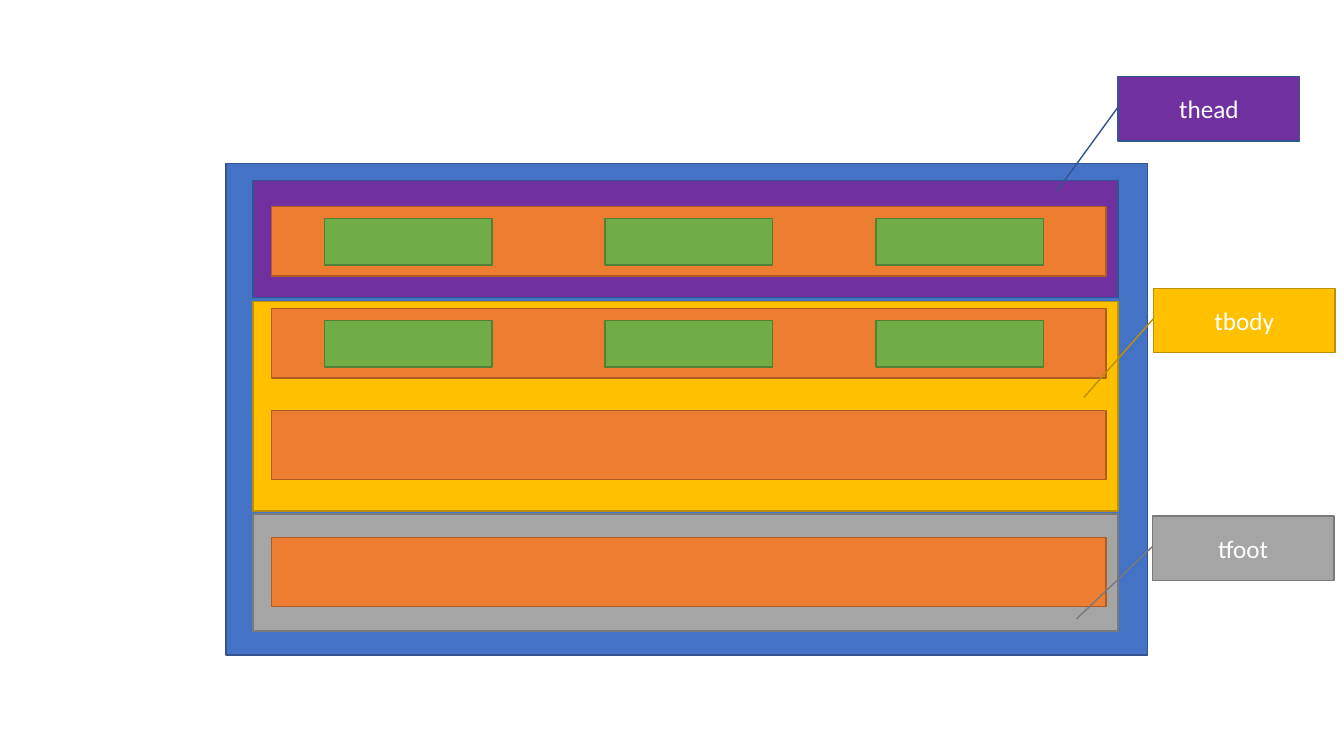
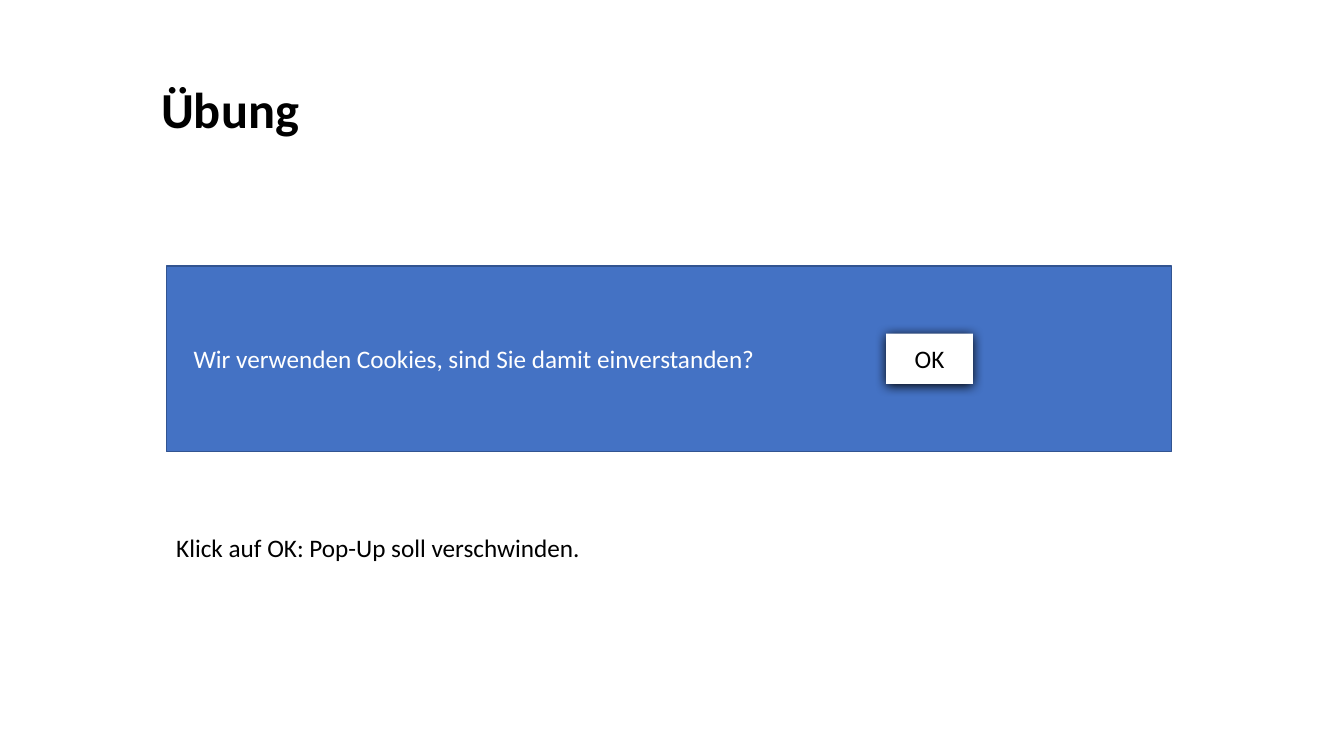
from lxml import etree
from pptx import Presentation
from pptx import util as u
from pptx.dml import color
from pptx.enum import shapes, text
from pptx.oxml import ns

theme = {
    "font": "Calibri", "body": 18, "title": 36, "line": 1,
    "white": "FFFFFF", "black": "000000",
    "blue": ("4472C4", "325491"), "plum": ("7030A0", "325491"),
    "gold": ("FFC000", "BD8E00"), "gray": ("A5A5A5", "7A7A7A"),
    "rust": ("ED7D31", "AF5C24"), "green": ("70AD47", "538035"),
    "plain": ("FFFFFF", None),
}
rgb = color.RGBColor.from_string
rect = shapes.MSO_SHAPE.RECTANGLE
note = shapes.MSO_SHAPE.LINE_CALLOUT_1
mid = text.PP_ALIGN.CENTER
left = text.PP_ALIGN.LEFT


def write(item, words, ink, size=theme["body"], bold=False, align=left, **frame):
    for key, val in frame.items():
        setattr(item.text_frame, key, val)
    para = item.text_frame.paragraphs[0]
    para.alignment = align
    run = para.add_run()
    run.text = words
    looks = {"name": theme["font"], "size": u.Pt(size), "bold": bold}
    for key, val in looks.items():
        setattr(run.font, key, val)
    run.font.color.rgb = rgb(theme[ink])


def block(slide, tone, at, kind=rect):
    item = slide.shapes.add_shape(kind, *map(u.Inches, at))
    item.shadow.inherit = False
    fill, edge = theme[tone]
    item.fill.solid()
    item.fill.fore_color.rgb = rgb(fill)
    if edge:
        item.line.color.rgb = rgb(edge)
        item.line.width = u.Pt(theme["line"])
    else:
        item.line.fill.background()
    return item


deck = Presentation()
deck.slide_width, deck.slide_height = u.Inches(13.33), u.Inches(7.5)
blank = deck.slide_layouts[6]

grid = deck.slides.add_slide(blank)
block(grid, "blue", (2.24, 1.62, 9.14, 4.88))
parts = [
    ("thead", "plum", 1.79, 1.16, [2.05], (11.09, 0.76), (1.773, -0.337)),
    ("tbody", "gold", 2.99, 2.08, [3.06, 4.07], (11.44, 2.86), (1.692, -0.383)),
    ("tfoot", "gray", 5.1, 1.16, [5.33], (11.43, 5.12), (1.595, -0.418)),
]
for name, tone, top, high, rows, spot, tip in parts:
    block(grid, tone, (2.51, top, 8.58, high))
    for row in rows:
        block(grid, "rust", (2.69, row, 8.28, 0.69))
for top in (2.17, 3.18):
    for x in (3.22, 6, 8.69):
        block(grid, "green", (x, top, 1.66, 0.46))
for name, tone, top, high, rows, spot, tip in parts:
    tag = block(grid, tone, (*spot, 1.8, 0.64), note)
    for i, val in enumerate((0.479, -0.002, *tip)):
        tag.adjustments[i] = val
    write(tag, name, "white", align=mid, vertical_anchor=text.MSO_ANCHOR.MIDDLE)

task = deck.slides.add_slide(blank)
bar = block(task, "blue", (1.65, 2.64, 9.97, 1.84))
write(bar, "Wir verwenden Cookies, sind Sie damit einverstanden?", "white",
      vertical_anchor=text.MSO_ANCHOR.MIDDLE, margin_left=u.Inches(0.27))

key = block(task, "plain", (8.79, 3.31, 0.86, 0.5))
write(key, "OK", "black", align=mid, vertical_anchor=text.MSO_ANCHOR.MIDDLE)
glow = etree.SubElement(
    key._element.spPr.find(ns.qn("a:effectLst")), ns.qn("a:outerShdw"),
    blurRad=str(u.Pt(8.5)), dist=str(u.Pt(1)), dir=str(90 * 60000),
    algn="t", rotWithShape="0")
etree.SubElement(glow, ns.qn("a:srgbClr"), val=theme["black"])

for words, at, size, bold in [
    ("Übung", (1.5, 0.73, 1.8, 0.71), theme["title"], True),
    ("Klick auf OK: Pop-Up soll verschwinden.", (1.65, 5.23, 7.24, 0.4), theme["body"], False),
]:
    box = task.shapes.add_textbox(*map(u.Inches, at))
    write(box, words, "black", size, bold, word_wrap=True,
          auto_size=text.MSO_AUTO_SIZE.SHAPE_TO_FIT_TEXT)

deck.save("out.pptx")
